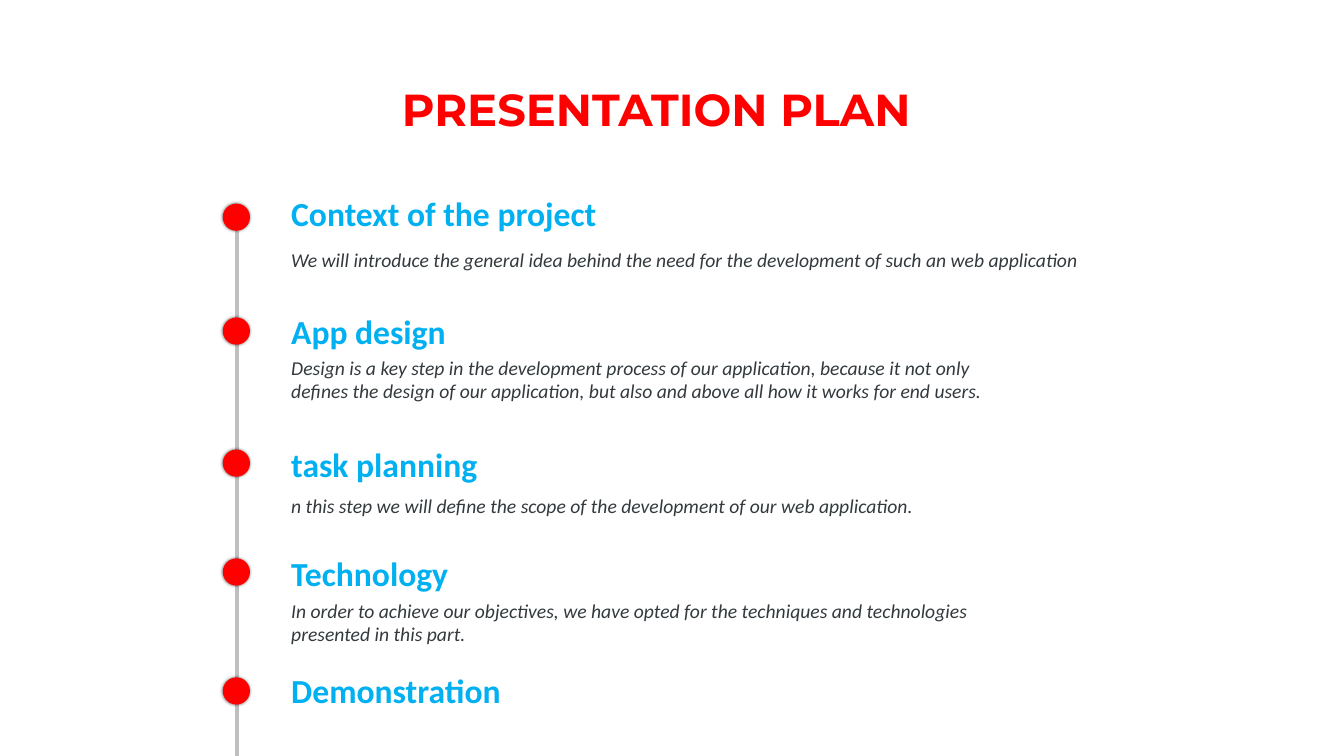
import lxml.etree
import pptx
import pptx.dml.color
import pptx.enum.shapes
import pptx.enum.text
import pptx.oxml
import pptx.oxml.ns
import pptx.util
from pptx.util import Inches

RED, BLUE, DARK, GREY = "FF0000", "00B0F0", "333A3E", "BFBFBF"
TEXT_LEFT = 2.79
DOT_LEFT, DOT_SIZE = 2.21, 0.27
LINE_X = 2.35
SHADOW = (
    f'<a:effectLst {pptx.oxml.ns.nsdecls("a")}>'
    '<a:outerShdw blurRad="25400" dist="0" dir="0" algn="ctr" rotWithShape="0">'
    '<a:srgbClr val="000000"><a:alpha val="50000"/></a:srgbClr>'
    '</a:outerShdw></a:effectLst>'
)


def color(hex_value):
    return pptx.dml.color.RGBColor.from_string(hex_value)


def add_text(page, text, top, width, height, size, hex_value,
             font="Calibri", bold=False, italic=False):
    box = page.shapes.add_textbox(
        Inches(TEXT_LEFT), Inches(top), Inches(width), Inches(height))
    box.text_frame.word_wrap = True
    box.text_frame.text = text
    span = box.text_frame.paragraphs[0].runs[0]
    span.font.name = font
    span.font.size = pptx.util.Pt(size)
    span.font.bold = bold
    span.font.italic = italic
    span.font.color.rgb = color(hex_value)
    return box


deck = pptx.Presentation()
deck.slide_width = Inches(13.33)
deck.slide_height = Inches(7.5)
page = deck.slides.add_slide(deck.slide_layouts[6])

# Title
title = add_text(page, "PRESENTATION PLAN", 0.77, 7.44, 1.35, 32, RED,
                 font="Montserrat", bold=True)
frame = title.text_frame
frame.margin_left = frame.margin_right = Inches(0.04)
frame.margin_top = frame.margin_bottom = Inches(0.04)
frame.paragraphs[0].alignment = pptx.enum.text.PP_ALIGN.CENTER

# Timeline
timeline = page.shapes.add_connector(
    pptx.enum.shapes.MSO_CONNECTOR.STRAIGHT,
    Inches(LINE_X), Inches(2.29), Inches(LINE_X), Inches(7.5))
timeline.line.color.rgb = color(GREY)
timeline.line.width = pptx.util.Pt(3)
lxml.etree.SubElement(timeline._element.spPr, pptx.oxml.ns.qn("a:effectLst"))

# Steps: dot top, heading, heading top, description, its top, width and height
steps = [
    (2.02, "Context of the project", 1.86,
     "We will introduce the general idea behind the need for the development "
     "of such an web application", 2.41, 8.06, 0.34),
    (3.15, "App design", 3.04,
     "Design is a key step in the development process of our application, "
     "because it not only defines the design of our application, but also and "
     "above all how it works for end users.", 3.48, 7.3, 0.57),
    (4.46, "task planning", 4.35,
     "n this step we will define the scope of the development of our web "
     "application.", 4.85, 7.3, 0.34),
    (5.54, "Technology", 5.44,
     "In order to achieve our objectives, we have opted for the techniques and "
     "technologies presented in this part.", 5.89, 7.3, 0.57),
    (6.72, "Demonstration", 6.6, None, None, None, None),
]
for dot_top, heading, heading_top, description, top, width, height in steps:
    dot = page.shapes.add_shape(
        pptx.enum.shapes.MSO_SHAPE.OVAL, Inches(DOT_LEFT), Inches(dot_top),
        Inches(DOT_SIZE), Inches(DOT_SIZE))
    dot.fill.solid()
    dot.fill.fore_color.rgb = color(RED)
    dot.line.fill.background()
    dot._element.spPr.append(pptx.oxml.parse_xml(SHADOW))

    add_text(page, heading, heading_top, 4.5, 0.5, 24, BLUE, bold=True)
    if description:
        add_text(page, description, top, width, height, 14, DARK, italic=True)

deck.save("out.pptx")
